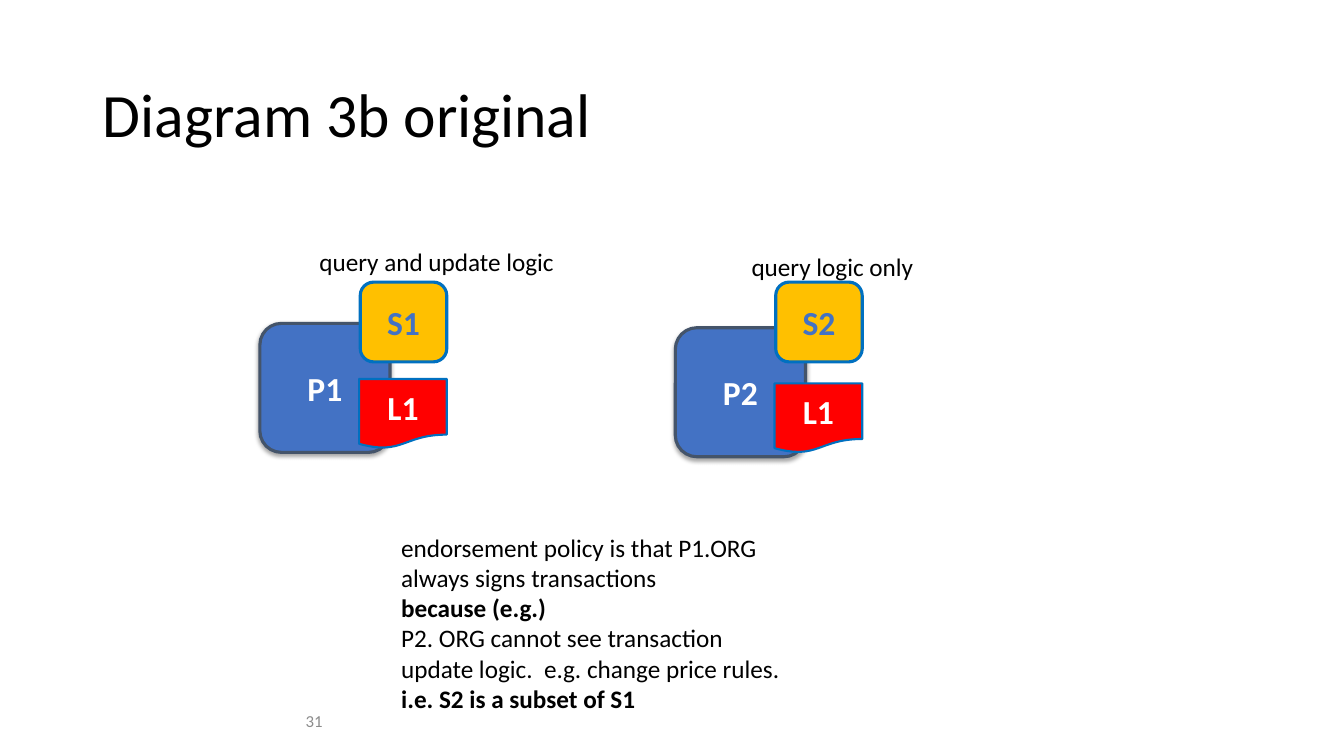
from lxml import etree
from pptx import Presentation
from pptx.dml.color import RGBColor
from pptx.enum import shapes, text
from pptx.oxml import ns
from pptx.util import Cm, Pt

COLORS = {
    "black": "000000", "white": "FFFFFF", "grey": "8C8C8C",
    "peer": "4372C4", "peer_line": "44546A", "ledger": "FF0000",
    "contract": "FFC000", "line": "0070C0",
}
FONT = "Calibri"
CONTRACT_TOP = 7.11


def rgb(name):
    return RGBColor.from_string(COLORS[name])


def style(p, size, color, bold=False, align=text.PP_ALIGN.LEFT):
    p.alignment = align
    p.font.name = FONT
    p.font.size = Pt(size)
    p.font.bold = bold
    p.font.color.rgb = rgb(color)


def add_soft_shadow(sp):
    effects = sp._element.spPr.find(ns.qn("a:effectLst"))
    shadow = etree.SubElement(effects, ns.qn("a:outerShdw"), blurRad=str(Pt(3.1)),
                              dist=str(Pt(1.8)), dir="5400000", rotWithShape="0")
    color = etree.SubElement(shadow, ns.qn("a:srgbClr"), val=COLORS["black"])
    etree.SubElement(color, ns.qn("a:alpha"), val="35000")


def add_block(s, kind, box, label, fill, line, width, color="white"):
    sp = s.shapes.add_shape(kind, *map(Cm, box))
    sp.shadow.inherit = False
    sp.fill.solid()
    sp.fill.fore_color.rgb = rgb(fill)
    sp.line.color.rgb = rgb(line)
    sp.line.width = Pt(width)
    tf = sp.text_frame
    tf.vertical_anchor = text.MSO_ANCHOR.MIDDLE
    tf.text = label
    style(tf.paragraphs[0], 24, color, True, text.PP_ALIGN.CENTER)
    return sp


def add_peer(s, left, top, peer, ledger, contract):
    """Draw a peer with its ledger and smart contract on the right edge."""
    rounded = shapes.MSO_SHAPE.ROUNDED_RECTANGLE
    sp = add_block(s, rounded, (left, top, 3.28, 3.25), peer, "peer", "peer_line", 2.25)
    add_soft_shadow(sp)
    add_block(s, shapes.MSO_SHAPE.FLOWCHART_DOCUMENT, (left + 2.5, top + 1.4, 2.21, 1.75),
              ledger, "ledger", "line", 1.5)
    add_block(s, rounded, (left + 2.53, CONTRACT_TOP, 2.18, 2.01), contract,
              "contract", "line", 2.25, "peer")


def add_text(s, box, lines, size=18, color="black", wrap=True, align=text.PP_ALIGN.LEFT):
    """Add a text box; lines are (text, bold) pairs."""
    tf = s.shapes.add_textbox(*map(Cm, box)).text_frame
    tf.word_wrap = wrap
    for i, (line, bold) in enumerate(lines):
        p = tf.add_paragraph() if i else tf.paragraphs[0]
        p.text = line
        style(p, size, color, bold, align)
    return tf


def add_title(s, title):
    sp = s.shapes.title
    sp.left, sp.top, sp.width, sp.height = map(Cm, (2.34, 1.12, 29.21, 3.68))
    tf = sp.text_frame
    tf.text = title
    tf.vertical_anchor = text.MSO_ANCHOR.MIDDLE
    p = tf.paragraphs[0]
    p.line_spacing = 0.9
    style(p, 44, "black")


def main():
    prs = Presentation()
    prs.slide_width, prs.slide_height = Cm(33.87), Cm(19.05)
    s = prs.slides.add_slide(prs.slide_layouts[5])
    add_title(s, "Diagram 3b original")
    number = add_text(s, (0.76, 17.65, 7.62, 1.02), [("31", False)], 12, "grey",
                      align=text.PP_ALIGN.RIGHT)
    number.vertical_anchor = text.MSO_ANCHOR.MIDDLE

    add_peer(s, 17.02, 8.26, "P2", "L1", "S2")
    add_peer(s, 6.55, 8.15, "P1", "L1", "S1")

    add_text(s, (7.8, 6.07, 6.5, 1.02), [("query and update logic", False)], wrap=False)
    add_text(s, (18.69, 6.22, 4.65, 1.02), [("query logic only", False)], wrap=False)
    add_text(s, (9.86, 13.28, 10.46, 4.88), [
        ("endorsement policy is that P1.ORG always signs transactions", False),
        ("because (e.g.)", True),
        ("P2. ORG cannot see transaction update logic.  e.g. change price rules.", False),
        ("i.e. S2 is a subset of S1", True),
    ])
    prs.save("out.pptx")


if __name__ == "__main__":
    main()
